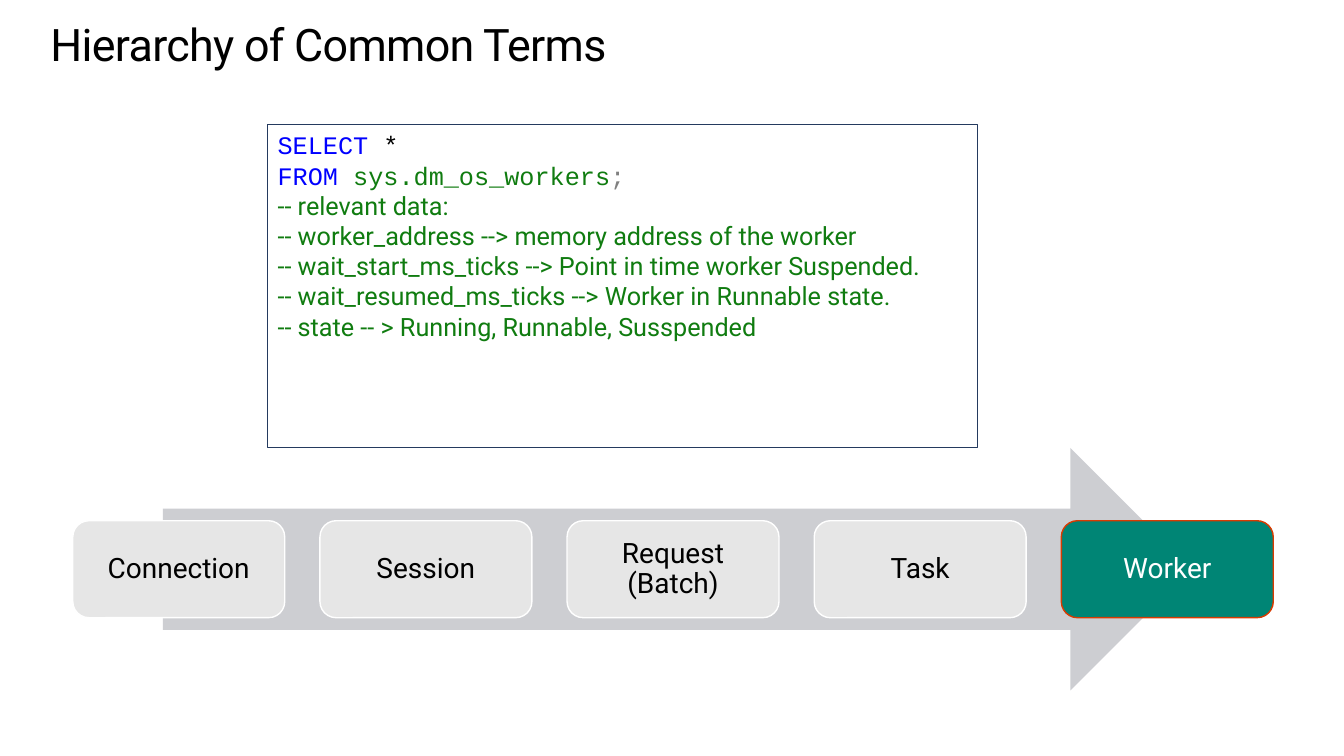
from dataclasses import dataclass

from pptx import Presentation
from pptx.dml.color import RGBColor
from pptx.enum.shapes import MSO_SHAPE
from pptx.enum.text import MSO_ANCHOR, PP_ALIGN
from pptx.util import Pt

RECT, ROUND_RECT = MSO_SHAPE.RECTANGLE, MSO_SHAPE.ROUNDED_RECTANGLE
RIGHT_ARROW = MSO_SHAPE.RIGHT_ARROW
LEFT, CENTER = PP_ALIGN.LEFT, PP_ALIGN.CENTER
TOP, MIDDLE = MSO_ANCHOR.TOP, MSO_ANCHOR.MIDDLE


@dataclass(frozen=True)
class Theme:
    font: str = "Roboto"
    mono: str = "Courier New"
    title_size: int = 32
    code_size: int = 18
    step_size: int = 20
    white: str = "FFFFFF"
    black: str = "000000"
    frame: str = "243A5E"
    keyword: str = "0000FF"
    comment: str = "107C10"
    punctuation: str = "808080"
    arrow: str = "CDCED2"
    step: str = "E6E6E6"
    active: str = "008575"
    active_line: str = "D83B01"


T = Theme()

QUERY = [
    [("SELECT", T.keyword), (" *", T.black)],
    [("FROM ", T.keyword), ("sys.dm_os_workers", T.comment), (";", T.punctuation)],
]
NOTES = [
    "-- relevant data:",
    "-- worker_address --> memory address of the worker",
    "-- wait_start_ms_ticks --> Point in time worker Suspended.",
    "-- wait_resumed_ms_ticks --> Worker in Runnable state.",
    "-- state -- > Running, Runnable, Susspended",
]
STEPS = ["Connection", "Session", "Request\v(Batch)", "Task", "Worker"]


def rgb(value):
    return RGBColor.from_string(value)


def set_font(font, name, size, color=None):
    font.name, font.size = name, Pt(size)
    if color:
        font.color.rgb = rgb(color)


def add_box(s, kind, x, y, w, h, fill=None, line=None, weight=1):
    """Add a flat shape; without a fill or line colour that part is left off."""
    sp = s.shapes.add_shape(kind, Pt(x), Pt(y), Pt(w), Pt(h))
    sp.shadow.inherit = False
    if fill:
        sp.fill.solid()
        sp.fill.fore_color.rgb = rgb(fill)
    else:
        sp.fill.background()
    if line:
        sp.line.color.rgb = rgb(line)
        sp.line.width = Pt(weight)
    else:
        sp.line.fill.background()
    return sp


def set_margins(tf, x, y):
    tf.margin_left = tf.margin_right = Pt(x)
    tf.margin_top = tf.margin_bottom = Pt(y)


def add_title(s, x, y, w, h, text):
    tf = s.shapes.add_textbox(Pt(x), Pt(y), Pt(w), Pt(h)).text_frame
    tf.word_wrap = True
    set_margins(tf, 0, 0)
    p = tf.paragraphs[0]
    p.line_spacing = Pt(36.2)
    set_font(p.font, T.font, T.title_size, T.black)
    r = p.add_run()
    r.text = text
    r._r.get_or_add_rPr().set("spc", "-50")


def add_code(s, x, y, w, h):
    tf = add_box(s, RECT, x, y, w, h, line=T.frame, weight=0.75).text_frame
    tf.word_wrap = True
    tf.vertical_anchor = TOP
    set_margins(tf, 7.2, 3.6)
    lines = [(T.mono, runs) for runs in QUERY]
    lines += [(T.font, [(note, T.comment)]) for note in NOTES]
    for i, (font, runs) in enumerate(lines):
        p = tf.add_paragraph() if i else tf.paragraphs[0]
        p.alignment = LEFT
        set_font(p.font, font, T.code_size)
        for text, color in runs:
            r = p.add_run()
            r.text = text
            r.font.color.rgb = rgb(color)


def add_step(s, x, y, w, h, text, active):
    fill, line, color = (
        (T.active, T.active_line, T.white) if active else (T.step, T.white, T.black)
    )
    tf = add_box(s, ROUND_RECT, x, y, w, h, fill, line).text_frame
    tf.word_wrap = True
    tf.vertical_anchor = MIDDLE
    set_margins(tf, 9, 9)
    p = tf.paragraphs[0]
    p.text = text
    p.alignment = CENTER
    p.line_spacing = 0.9
    set_font(p.font, T.font, T.step_size, color)


def add_process(s, x, y, w, h):
    """Lay the steps evenly across the box, over an arrow inset at both ends."""
    inset = w * 0.075
    add_box(s, RIGHT_ARROW, x + inset, y, w - 2 * inset, h, fill=T.arrow)
    step_w, step_h = 151.4, h * 0.4
    pitch = (w - 2 * 0.5 - step_w - 6) / (len(STEPS) - 1)
    for i, text in enumerate(STEPS):
        add_step(s, x + 0.5 + i * pitch, y + (h - step_h) / 2, step_w, step_h,
                 text, active=i == len(STEPS) - 1)


def main():
    prs = Presentation()
    prs.slide_width, prs.slide_height = Pt(960), Pt(540)
    s = prs.slides.add_slide(prs.slide_layouts[6])
    add_code(s, 191.2, 89, 507, 231)
    add_title(s, 36, 13.9, 857, 36, "Hierarchy of Common Terms")
    add_process(s, 51.5, 320, 864.5, 173.2)
    prs.save("out.pptx")


if __name__ == "__main__":
    main()
